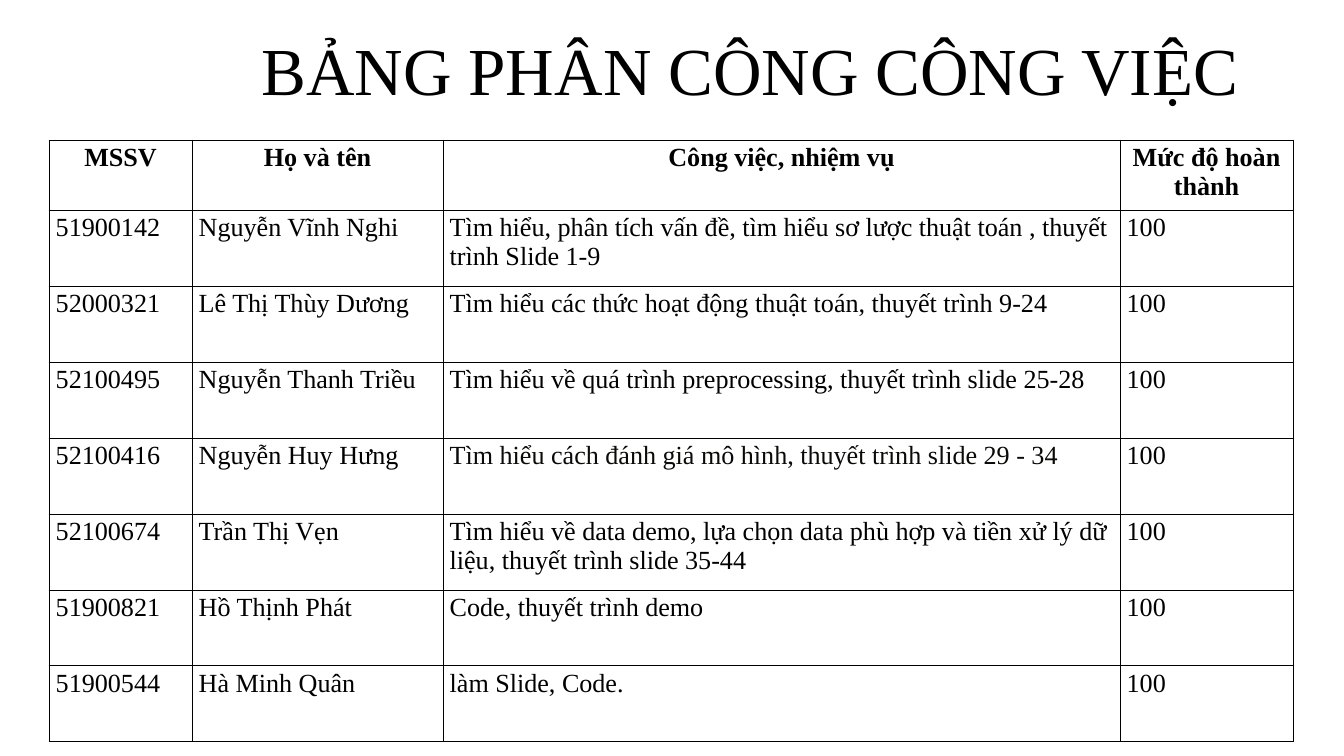
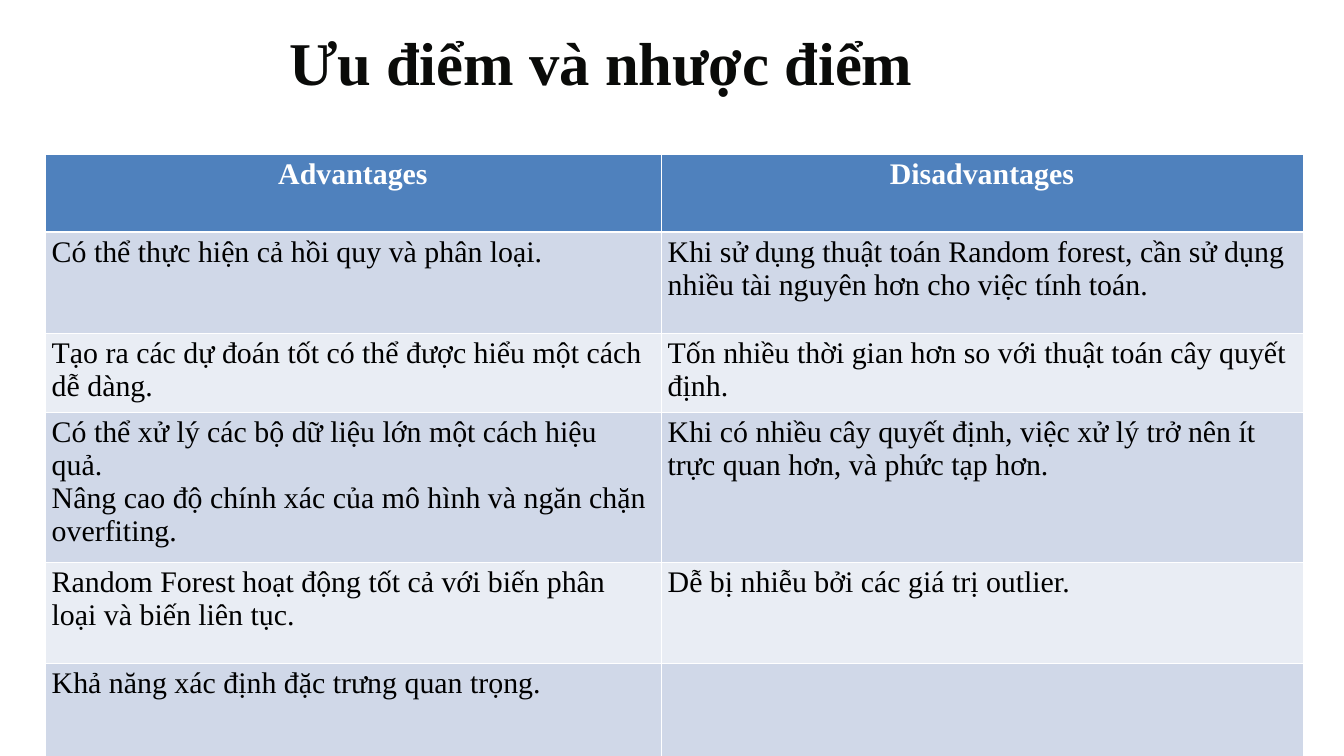
from lxml.etree import SubElement
from pptx import Presentation
from pptx.dml.color import RGBColor
from pptx.enum.text import MSO_ANCHOR, MSO_AUTO_SIZE, PP_ALIGN
from pptx.oxml import parse_xml
from pptx.oxml.ns import nsdecls, qn
from pptx.util import Emu, Pt

BLACK = RGBColor(0x00, 0x00, 0x00)
INK = RGBColor(0x0A, 0x0B, 0x09)
WHITE = RGBColor(0xFF, 0xFF, 0xFF)
BLUE = RGBColor(0x4F, 0x81, 0xBD)
BAND = RGBColor(0xD0, 0xD8, 0xE8)
PALE = RGBColor(0xE9, 0xED, 0xF4)
FONT = "Times New Roman"
PX = 914400 / 67.2

TASKS = [
    ("MSSV", "Họ và tên", "Công việc, nhiệm vụ", "Mức độ hoàn thành"),
    ("51900142", "Nguyễn Vĩnh Nghi",
     "Tìm hiểu, phân tích vấn đề, tìm hiểu sơ lược thuật toán , thuyết trình Slide 1-9", "100"),
    ("52000321", "Lê Thị Thùy Dương",
     "Tìm hiểu các thức hoạt động thuật toán, thuyết trình 9-24", "100"),
    ("52100495", "Nguyễn Thanh Triều",
     "Tìm hiểu về quá trình preprocessing, thuyết trình slide 25-28", "100"),
    ("52100416", "Nguyễn Huy Hưng",
     "Tìm hiểu cách đánh giá mô hình, thuyết trình slide 29 - 34", "100"),
    ("52100674", "Trần Thị Vẹn",
     "Tìm hiểu về data demo, lựa chọn data phù hợp và tiền xử lý dữ liệu, thuyết trình slide 35-44",
     "100"),
    ("51900821", "Hồ Thịnh Phát", "Code, thuyết trình demo", "100"),
    ("51900544", "Hà Minh Quân", "làm Slide, Code.", "100"),
]
TRAITS = [
    ("Advantages", "Disadvantages"),
    ("Có thể thực hiện cả hồi quy và phân loại.",
     "Khi sử dụng thuật toán Random forest, cần sử dụng nhiều tài nguyên hơn cho việc tính toán."),
    ("Tạo ra các dự đoán tốt có thể được hiểu một cách dễ dàng.",
     "Tốn nhiều thời gian hơn so với thuật toán cây quyết định."),
    ("Có thể xử lý các bộ dữ liệu lớn một cách hiệu quả.\n"
     "Nâng cao độ chính xác của mô hình và ngăn chặn overfiting.",
     "Khi có nhiều cây quyết định, việc xử lý trở nên ít trực quan hơn, và phức tạp hơn."),
    ("Random Forest hoạt động tốt cả với biến phân loại và biến liên tục.",
     "Dễ bị nhiễu bởi các giá trị outlier."),
    ("Khả năng xác định đặc trưng quan trọng.", ""),
]
SLIDES = [
    dict(
        title=dict(text="BẢNG PHÂN CÔNG CÔNG VIỆC", box=(222, 15, 1056, 106), size=72,
                   color=BLACK, bold=False, align=PP_ALIGN.CENTER, lead=Pt(100.8)),
        table=dict(rows=TASKS, spot=(49, 140), wide=(143, 251, 677, 173),
                   high=(70,) + (76,) * 7, size=28, line=BLACK, rule=1,
                   head=BLACK, fills=None, odd={(4, 2): INK}),
    ),
    dict(
        title=dict(text="Ưu điểm và nhược điểm", box=(289, 25, 981, 73), size=65,
                   color=INK, bold=True, align=PP_ALIGN.LEFT, lead=1.0),
        table=dict(rows=TRAITS, spot=(45, 154), wide=(616, 642),
                   high=(78, 101, 79, 150, 101, 101), size=32, line=WHITE, rule=3,
                   head=WHITE, fills=(BLUE, BAND, PALE), odd={}),
    ),
]


def px(n):
    return Emu(round(n * PX))


def add_run(para, text, size, color, bold):
    run = para.add_run()
    run.text = text
    font = run.font
    font.name, font.size, font.bold = FONT, Pt(size), bold
    font.color.rgb = color


def add_title(slide, text, box, size, color, bold, align, lead):
    shape = slide.shapes.title
    shape.left, shape.top, shape.width, shape.height = map(px, box)
    frame = shape.text_frame
    frame.margin_left = frame.margin_right = frame.margin_top = frame.margin_bottom = 0
    frame.word_wrap = True
    frame.auto_size = MSO_AUTO_SIZE.SHAPE_TO_FIT_TEXT
    frame.vertical_anchor = MSO_ANCHOR.TOP
    para = frame.paragraphs[0]
    para.alignment, para.line_spacing = align, lead
    add_run(para, text, size, color, bold)


def add_edges(cell, color, widths):
    props = cell._tc.get_or_add_tcPr()
    for spot, (side, width) in enumerate(widths.items()):
        edge = parse_xml(f'<a:ln{side} {nsdecls("a")} w="{Pt(width)}"/>')
        fill = SubElement(edge, qn("a:solidFill"))
        SubElement(fill, qn("a:srgbClr"), val=str(color))
        props.insert(spot, edge)


def add_grid(slide, rows, spot, wide, high, size, line, rule, head, fills, odd):
    box = (*spot, sum(wide), sum(high))
    grid = slide.shapes.add_table(len(rows), len(wide), *map(px, box)).table
    grid.horz_banding = False
    for col, width in zip(grid.columns, wide):
        col.width = px(width)
    for row, height in zip(grid.rows, high):
        row.height = px(height)
    for r, row in enumerate(rows):
        top = r == 0
        for c, text in enumerate(row):
            cell = grid.cell(r, c)
            if fills:
                cell.fill.solid()
                cell.fill.fore_color.rgb = fills[0] if top else fills[2 - r % 2]
            else:
                cell.fill.background()
            add_edges(cell, line, {"L": 1, "R": 1, "T": rule if r == 1 else 1,
                                   "B": rule if top else 1})
            frame = cell.text_frame
            for i, part in enumerate(text.splitlines()):
                para = frame.add_paragraph() if i else frame.paragraphs[0]
                para.alignment = PP_ALIGN.CENTER if top else PP_ALIGN.LEFT
                color = head if top else odd.get((r, c), BLACK)
                add_run(para, part, size, color, top)


def main():
    deck = Presentation()
    deck.slide_width, deck.slide_height = px(1344), px(756)
    for page in SLIDES:
        slide = deck.slides.add_slide(deck.slide_layouts[5])
        add_title(slide, **page["title"])
        add_grid(slide, **page["table"])
    deck.save("out.pptx")


if __name__ == "__main__":
    main()
